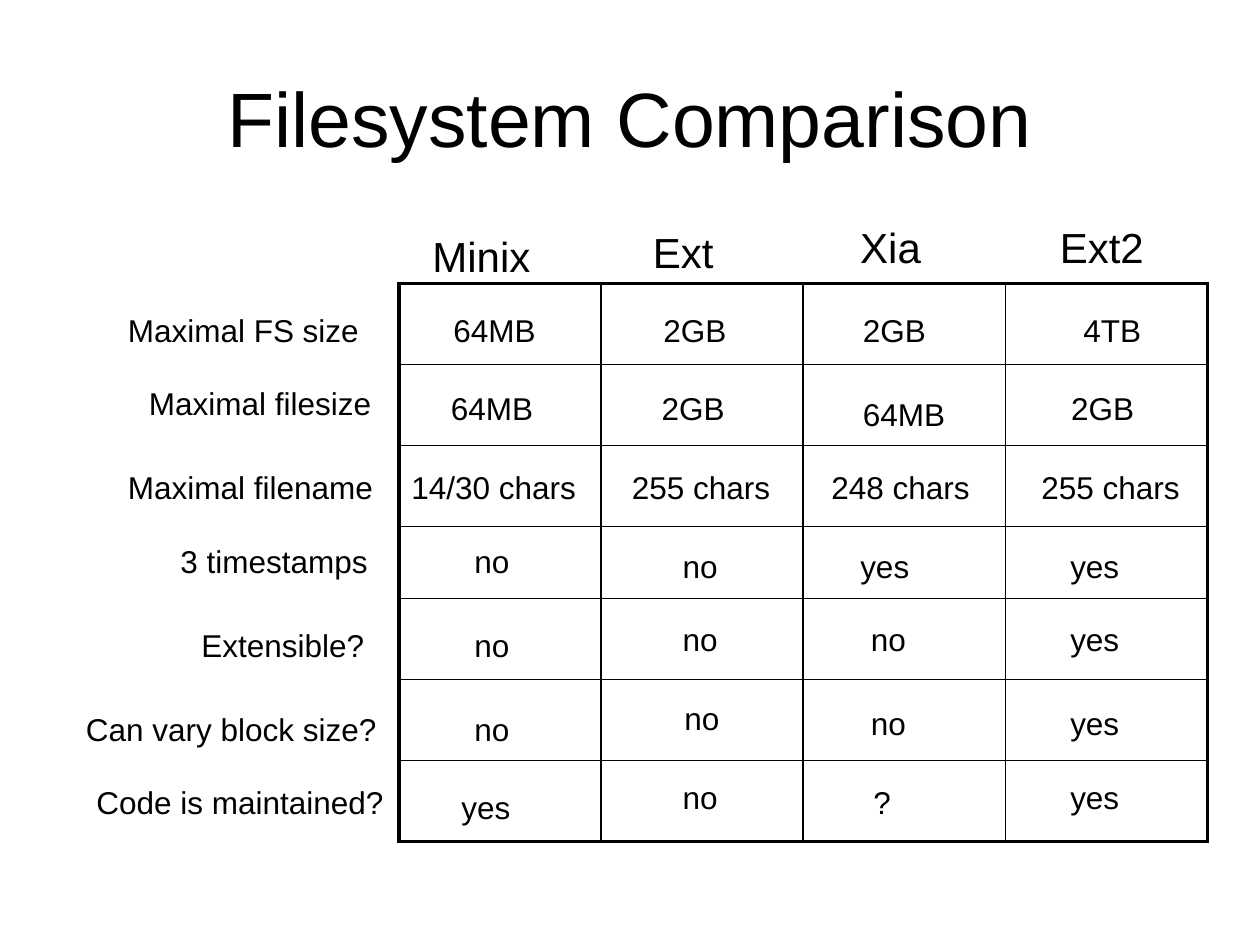
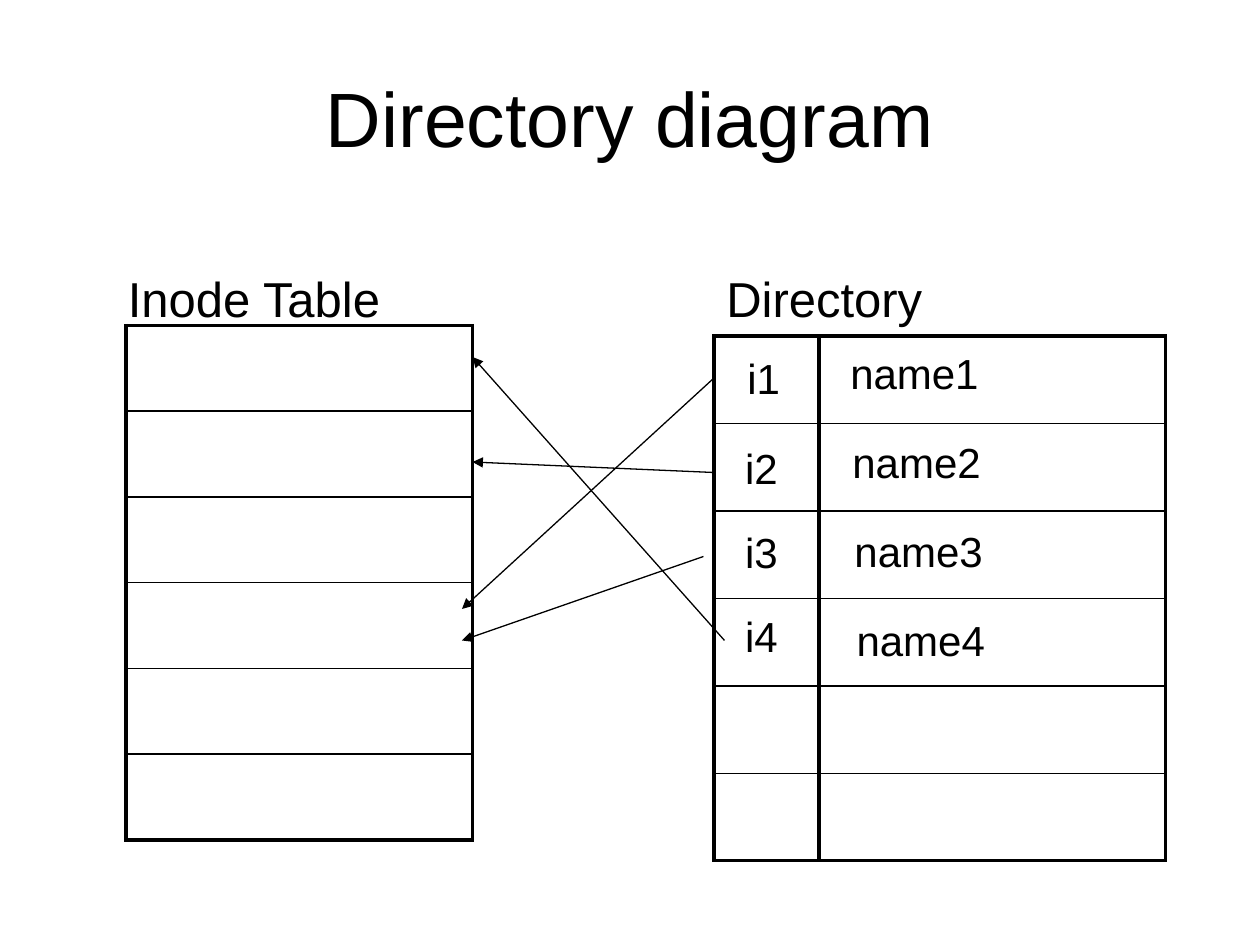
import pptx
import pptx.util
import pptx.dml.color
import pptx.enum.shapes
import pptx.enum.text
import pptx.oxml
import pptx.oxml.ns

Pt = pptx.util.Pt
INK = pptx.dml.color.RGBColor(0x00, 0x00, 0x00)
PAPER = pptx.dml.color.RGBColor(0xFF, 0xFF, 0xFF)
FONT = "Arial"
OUTER, INNER, ARROW = 2.25, 1, 0.75
BODY, HEADING, CAPTION, TITLE = 18, 24, 28, 44
ALIGN = pptx.enum.text.PP_ALIGN
ANCHOR = pptx.enum.text.MSO_ANCHOR
NS = pptx.oxml.ns.nsdecls("a")


def write(slide, text, left, top, width, height, size=BODY, wrap=False,
          align=ALIGN.LEFT, anchor=ANCHOR.TOP):
    box = slide.shapes.add_textbox(Pt(left), Pt(top), Pt(width), Pt(height))
    frame = box.text_frame
    frame.word_wrap = wrap
    frame.vertical_anchor = anchor
    if not wrap:
        frame.auto_size = pptx.enum.text.MSO_AUTO_SIZE.SHAPE_TO_FIT_TEXT
    paragraph = frame.paragraphs[0]
    paragraph.alignment = align
    run = paragraph.add_run()
    run.text = text
    run.font.name = FONT
    run.font.size = Pt(size)
    run.font.color.rgb = INK


def add_grid(slide, left, top, widths, heights):
    """Add an unfilled table with a heavy frame and thin inner rules."""
    table = slide.shapes.add_table(
        len(heights), len(widths), Pt(left), Pt(top),
        Pt(sum(widths)), Pt(sum(heights))).table
    table.first_row = table.horz_banding = False
    for column, width in zip(table.columns, widths):
        column.width = Pt(width)
    for row, height in zip(table.rows, heights):
        row.height = Pt(height)
    for r in range(len(heights)):
        for c in range(len(widths)):
            cell = table.cell(r, c)
            cell.fill.background()
            on_frame = {"lnL": c == 0, "lnR": c == len(widths) - 1,
                        "lnT": r == 0, "lnB": r == len(heights) - 1}
            for order, (side, heavy) in enumerate(on_frame.items()):
                weight = Pt(OUTER if heavy else INNER)
                cell._tc.get_or_add_tcPr().insert(order, pptx.oxml.parse_xml(
                    f'<a:{side} {NS} w="{weight}"><a:solidFill>'
                    f'<a:srgbClr val="{INK}"/></a:solidFill></a:{side}>'))


deck = pptx.Presentation()
deck.slide_width, deck.slide_height = Pt(720), Pt(540)

# Both slides share a white background and a centred title
slides = []
for title in ("Filesystem Comparison", "Directory diagram"):
    slide = deck.slides.add_slide(deck.slide_layouts[6])
    slide.background.fill.solid()
    slide.background.fill.fore_color.rgb = PAPER
    write(slide, title, 36, 21.6, 648, 90, size=TITLE, wrap=True,
          align=ALIGN.CENTER, anchor=ANCHOR.MIDDLE)
    slides.append(slide)
comparison, diagram = slides

# Comparison: the ruled grid
add_grid(comparison, 228, 162, [115.5] * 4, [46.3] * 3 + [41] + [46.3] * 3)

# Comparison: filesystem names above the columns (left, top, width)
for name, left, top, width in (("Minix", 240, 128, 71), ("Ext", 366, 126, 49.5),
                               ("Xia", 484.5, 123, 49.5), ("Ext2", 598.5, 123, 63)):
    write(comparison, name, left, top, width, 36, size=HEADING)

# Comparison: each feature with its width, then (text, left, top) per entry
features = (
    (148, ("Maximal FS size", 66, 174), ("64MB", 252, 174), ("2GB", 372, 174),
     ("2GB", 486, 174), ("4TB", 612, 174)),
    (143, ("Maximal filesize", 78, 216), ("64MB", 250.5, 219), ("2GB", 371, 219),
     ("64MB", 486, 222), ("2GB", 605, 219)),
    (156, ("Maximal filename", 66, 264), ("14/30 chars", 228, 264),
     ("255 chars", 354, 264), ("248 chars", 468, 264), ("255 chars", 588, 264)),
    (123, ("3 timestamps", 96, 306), ("no", 264, 306), ("no", 383, 309),
     ("yes", 484.5, 309), ("yes", 604.5, 309)),
    (109, ("Extensible?", 108, 354), ("no", 264, 354), ("no", 383, 351),
     ("no", 490.5, 351), ("yes", 604.5, 351)),
    (182, ("Can vary block size?", 42, 402), ("no", 264, 402), ("no", 384, 396),
     ("no", 490.5, 399), ("yes", 604.5, 399)),
    (180, ("Code is maintained?", 48, 444), ("yes", 256.5, 447), ("no", 383, 441),
     ("?", 492, 444), ("yes", 604.5, 441)),
)
value_widths = {"64MB": 62.5, "2GB": 51.5, "4TB": 48.5, "14/30 chars": 109.5,
                "255 chars": 94.5, "248 chars": 94.5, "no": 35, "yes": 43, "?": 25}
for label_width, *entries in features:
    for text, left, top in entries:
        write(comparison, text, left, top, value_widths.get(text, label_width), 29)

# Diagram: inode table on the left, directory columns on the right
add_grid(diagram, 72, 186, [198], [49] * 6)
add_grid(diagram, 408, 192, [60], [50] * 6)
add_grid(diagram, 468, 192, [198], [50] * 6)
write(diagram, "Inode Table", 66, 150, 163, 41, size=CAPTION)
write(diagram, "Directory", 408, 150, 127, 41, size=CAPTION)

# Diagram: directory entries
for index, inode_top in enumerate((198, 249.3, 297.3, 345.3)):
    write(diagram, f"i{index + 1}", 420 if index == 0 else 418.7, inode_top, 33, 36,
          size=HEADING)
    write(diagram, f"name{index + 1}", 478.8 + 1.2 * index, 195 + 50.9 * index, 88, 36,
          size=HEADING)

# Diagram: arrows from directory entries to inodes
for start_x, start_y, end_x, end_y in ((414, 366, 270, 204), (402, 318, 264, 366),
                                       (408, 270, 270, 264), (408, 216, 264, 348)):
    link = diagram.shapes.add_connector(
        pptx.enum.shapes.MSO_CONNECTOR.STRAIGHT,
        Pt(start_x), Pt(start_y), Pt(end_x), Pt(end_y))
    link.line.color.rgb = INK
    link.line.width = Pt(ARROW)
    link.line._get_or_add_ln().append(
        pptx.oxml.parse_xml(f'<a:tailEnd {NS} type="triangle"/>'))
    link._element.spPr.append(pptx.oxml.parse_xml(f"<a:effectLst {NS}/>"))

deck.save("out.pptx")
